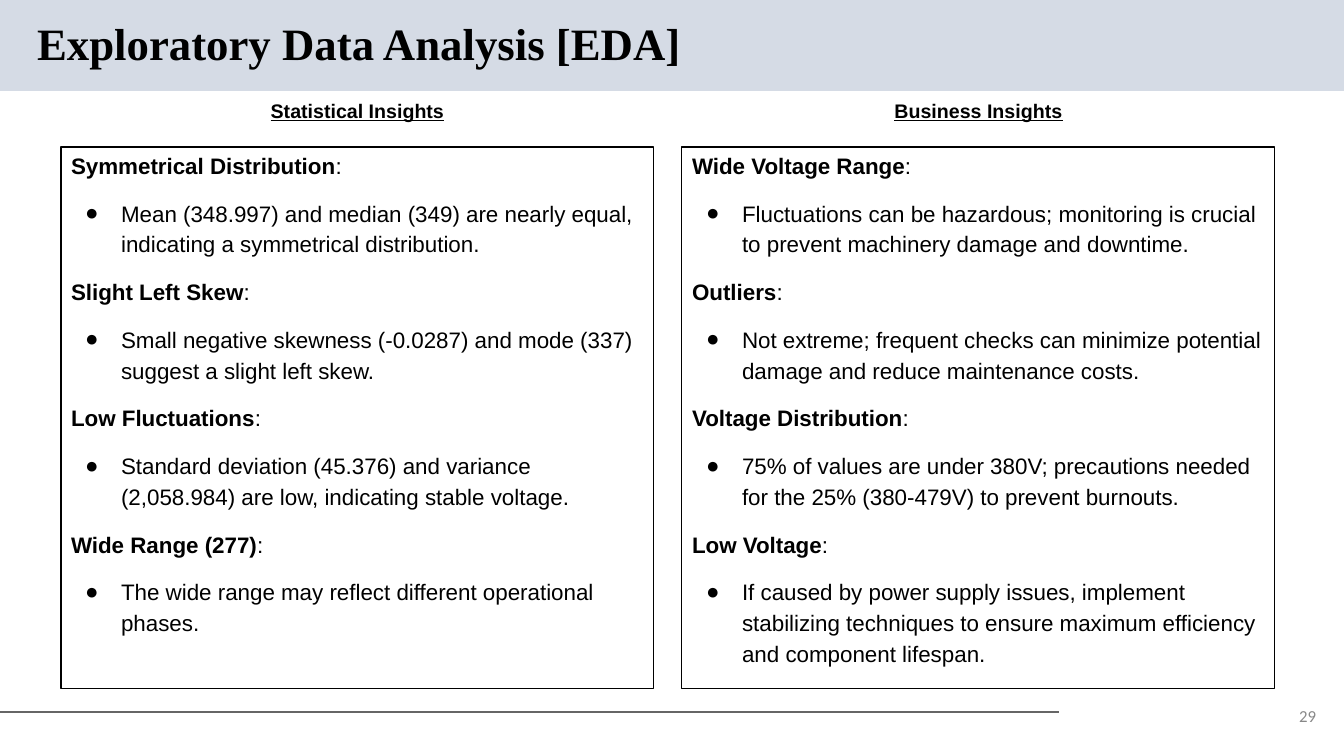
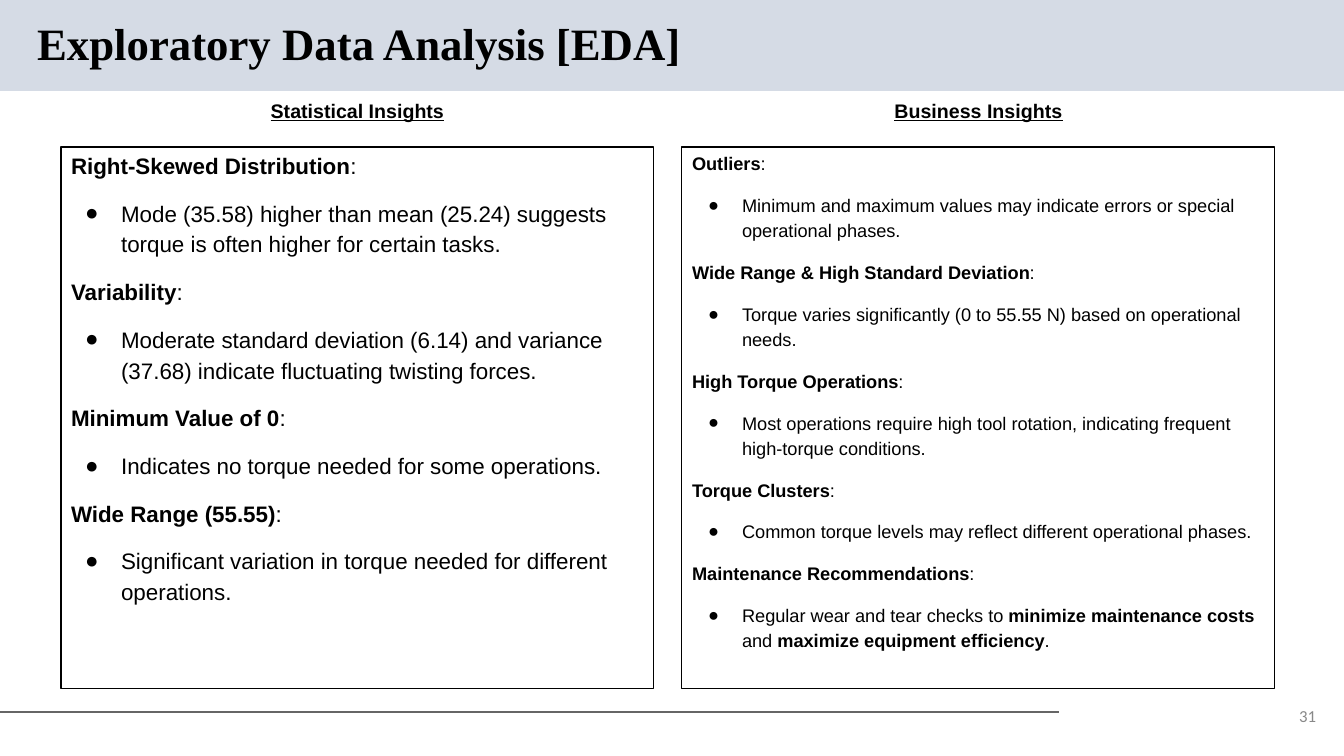
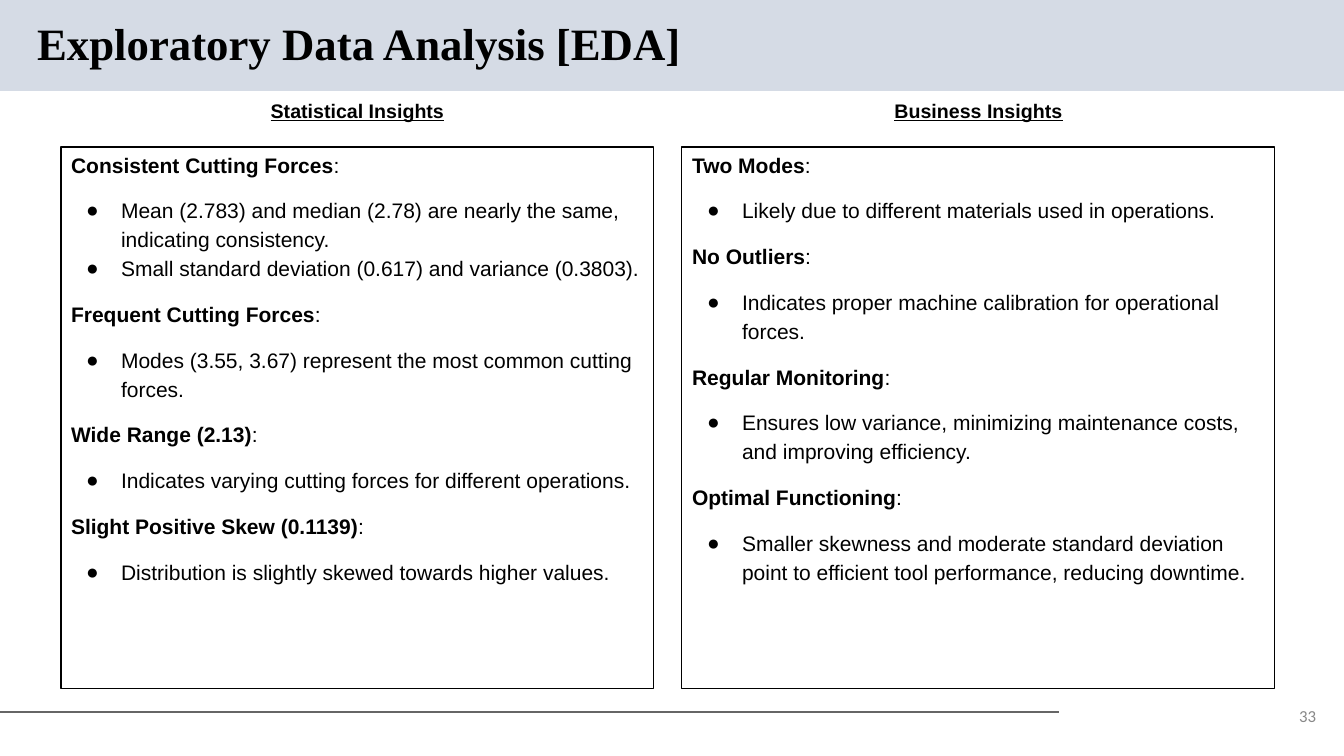
"""Build three exploratory data analysis slides with paired insight panels."""
from lxml.etree import SubElement
from pptx import Presentation
from pptx.dml.color import RGBColor
from pptx.enum.shapes import MSO_CONNECTOR, MSO_SHAPE
from pptx.enum.text import MSO_ANCHOR, MSO_AUTO_SIZE, PP_ALIGN
from pptx.oxml.ns import qn
from pptx.util import Emu, Pt

TITLE = "Exploratory Data Analysis [EDA]"
HEADINGS = ("Statistical Insights", "Business Insights")

SLIDES = [
    {
        "number": "29",
        "sizes": (16, 16),
        "panels": (
            [
                ("Symmetrical Distribution", ["Mean (348.997) and median (349) are nearly equal, indicating a symmetrical distribution."]),
                ("Slight Left Skew", ["Small negative skewness (-0.0287) and mode (337) suggest a slight left skew."]),
                ("Low Fluctuations", ["Standard deviation (45.376) and variance (2,058.984) are low, indicating stable voltage."]),
                ("Wide Range (277)", ["The wide range may reflect different operational phases."]),
            ],
            [
                ("Wide Voltage Range", ["Fluctuations can be hazardous; monitoring is crucial to prevent machinery damage and downtime."]),
                ("Outliers", ["Not extreme; frequent checks can minimize potential damage and reduce maintenance costs."]),
                ("Voltage Distribution", ["75% of values are under 380V; precautions needed for the 25% (380-479V) to prevent burnouts."]),
                ("Low Voltage", ["If caused by power supply issues, implement stabilizing techniques to ensure maximum efficiency and component lifespan."]),
            ],
        ),
    },
    {
        "number": "31",
        "sizes": (16, 13),
        "panels": (
            [
                ("Right-Skewed Distribution", ["Mode (35.58) higher than mean (25.24) suggests torque is often higher for certain tasks."]),
                ("Variability", ["Moderate standard deviation (6.14) and variance (37.68) indicate fluctuating twisting forces."]),
                ("Minimum Value of 0", ["Indicates no torque needed for some operations."]),
                ("Wide Range (55.55)", ["Significant variation in torque needed for different operations."]),
            ],
            [
                ("Outliers", ["Minimum and maximum values may indicate errors or special operational phases."]),
                ("Wide Range & High Standard Deviation", ["Torque varies significantly (0 to 55.55 N) based on operational needs."]),
                ("High Torque Operations", ["Most operations require high tool rotation, indicating frequent high-torque conditions."]),
                ("Torque Clusters", ["Common torque levels may reflect different operational phases."]),
                ("Maintenance Recommendations", ["Regular wear and tear checks to **minimize maintenance costs** and **maximize equipment efficiency**."]),
            ],
        ),
    },
    {
        "number": "33",
        "sizes": (15, 15),
        "panels": (
            [
                ("Consistent Cutting Forces", [
                    "Mean (2.783) and median (2.78) are nearly the same, indicating consistency.",
                    "Small standard deviation (0.617) and variance (0.3803).",
                ]),
                ("Frequent Cutting Forces", ["Modes (3.55, 3.67) represent the most common cutting forces."]),
                ("Wide Range (2.13)", ["Indicates varying cutting forces for different operations."]),
                ("Slight Positive Skew (0.1139)", ["Distribution is slightly skewed towards higher values."]),
            ],
            [
                ("Two Modes", ["Likely due to different materials used in operations."]),
                ("No Outliers", ["Indicates proper machine calibration for operational forces."]),
                ("Regular Monitoring", ["Ensures low variance, minimizing maintenance costs, and improving efficiency."]),
                ("Optimal Functioning", ["Smaller skewness and moderate standard deviation point to efficient tool performance, reducing downtime."]),
            ],
        ),
    },
]

BLACK, BAND, RULE, GRAY = "000000", "D5DBE5", "666666", "888888"
WIDTH, HEIGHT = 1344, 756
LEFT, PANEL_WIDTH, GAP = 61, 593, 28
BULLET_INDENT = 50
COMPARISON_LAYOUT = 4
HEADING_IDS, PANEL_IDS = (1, 3), (2, 4)


def px(value):
    return Emu(round(value * 9525 / 1.05))


def color(value):
    return RGBColor.from_string(value)


def place(shape, *box):
    shape.left, shape.top, shape.width, shape.height = map(px, box)


def add_run(paragraph, text, size, font="Arial", shade=BLACK, bold=False, underline=False):
    run = paragraph.add_run()
    run.text = text
    run.font.name, run.font.size = font, Pt(size)
    run.font.bold, run.font.underline = bold, underline
    run.font.color.rgb = color(shade)


def prepare(shape, anchor):
    frame = shape.text_frame
    frame.word_wrap = True
    frame.auto_size = MSO_AUTO_SIZE.NONE
    frame.vertical_anchor = anchor
    return frame


def write_line(shape, text, align, anchor, spacing=1.0, **style):
    paragraph = prepare(shape, anchor).paragraphs[0]
    paragraph.alignment, paragraph.line_spacing = align, spacing
    paragraph.space_before = Pt(0)
    add_run(paragraph, text, **style)


def set_bullet(paragraph, size, bulleted):
    properties = paragraph._p.get_or_add_pPr()
    hang = 25 + round(0.7 * size)
    properties.set("marL", str(px(BULLET_INDENT) if bulleted else 0))
    properties.set("indent", str(-px(hang) if bulleted else 0))
    if bulleted:
        shade = SubElement(properties, qn("a:buClr"))
        SubElement(shade, qn("a:srgbClr")).set("val", BLACK)
        SubElement(properties, qn("a:buFont")).set("typeface", "Arial")
        SubElement(properties, qn("a:buChar")).set("char", "●")
    else:
        SubElement(properties, qn("a:buNone"))


def fill_panel(shape, topics, size):
    shape.line.color.rgb, shape.line.width = color(BLACK), Pt(0.75)
    frame = prepare(shape, MSO_ANCHOR.TOP)
    lines = []
    for topic, points in topics:
        lines.append((f"**{topic}**:", False, 12))
        lines += [(point, True, 0 if index else 12) for index, point in enumerate(points)]
    for index, (text, bulleted, before) in enumerate(lines):
        paragraph = frame.add_paragraph() if index else frame.paragraphs[0]
        set_bullet(paragraph, size, bulleted)
        paragraph.line_spacing = 1.15 if index else 1.0
        paragraph.space_before = Pt(before if index else 0)
        for part, words in enumerate(text.split("**")):
            if words:
                add_run(paragraph, words, size, bold=part % 2 == 1)


def arrange_layout(layout):
    boxes = {0: (27, 16, 1019, 59)}
    for column, (heading, panel) in enumerate(zip(HEADING_IDS, PANEL_IDS)):
        left = LEFT + column * (PANEL_WIDTH + GAP)
        boxes[heading] = (left, 94, PANEL_WIDTH, 34)
        boxes[panel] = (left, 147, PANEL_WIDTH, 542)
    for placeholder in layout.placeholders:
        index = placeholder.placeholder_format.idx
        if index in boxes:
            place(placeholder, *boxes[index])


def decorate_layout(layout, slide):
    band = slide.shapes.add_shape(MSO_SHAPE.RECTANGLE, 0, 0, px(WIDTH), px(91))
    band.shadow.inherit = False
    band.fill.solid()
    band.fill.fore_color.rgb = color(BAND)
    band.line.fill.background()
    rule = slide.shapes.add_connector(MSO_CONNECTOR.STRAIGHT, 0, px(712), px(1059), px(712))
    rule.line.color.rgb, rule.line.width = color(RULE), Pt(0.75)
    SubElement(rule.element.spPr, qn("a:effectLst"))
    for shape in (band, rule):
        layout.shapes.element.append(shape.element)


def fill_slide(slide, content):
    parts = {shape.placeholder_format.idx: shape for shape in slide.placeholders}
    write_line(parts[0], TITLE, PP_ALIGN.LEFT, MSO_ANCHOR.MIDDLE, 0.9,
               size=32, font="Times New Roman", bold=True)
    for index, heading in zip(HEADING_IDS, HEADINGS):
        write_line(parts[index], heading, PP_ALIGN.CENTER, MSO_ANCHOR.TOP,
                   size=14, bold=True, underline=True)
    for index, topics, size in zip(PANEL_IDS, content["panels"], content["sizes"]):
        fill_panel(parts[index], topics, size)
    number = slide.shapes.add_textbox(px(1283), px(700), px(43), px(32))
    write_line(number, content["number"], PP_ALIGN.RIGHT, MSO_ANCHOR.MIDDLE,
               size=12, font="Calibri", shade=GRAY)


def main():
    presentation = Presentation()
    presentation.slide_width, presentation.slide_height = px(WIDTH), px(HEIGHT)
    layout = presentation.slide_layouts[COMPARISON_LAYOUT]
    arrange_layout(layout)
    slides = [presentation.slides.add_slide(layout) for _ in SLIDES]
    decorate_layout(layout, slides[0])
    for slide, content in zip(slides, SLIDES):
        fill_slide(slide, content)
    presentation.save("out.pptx")


if __name__ == "__main__":
    main()
